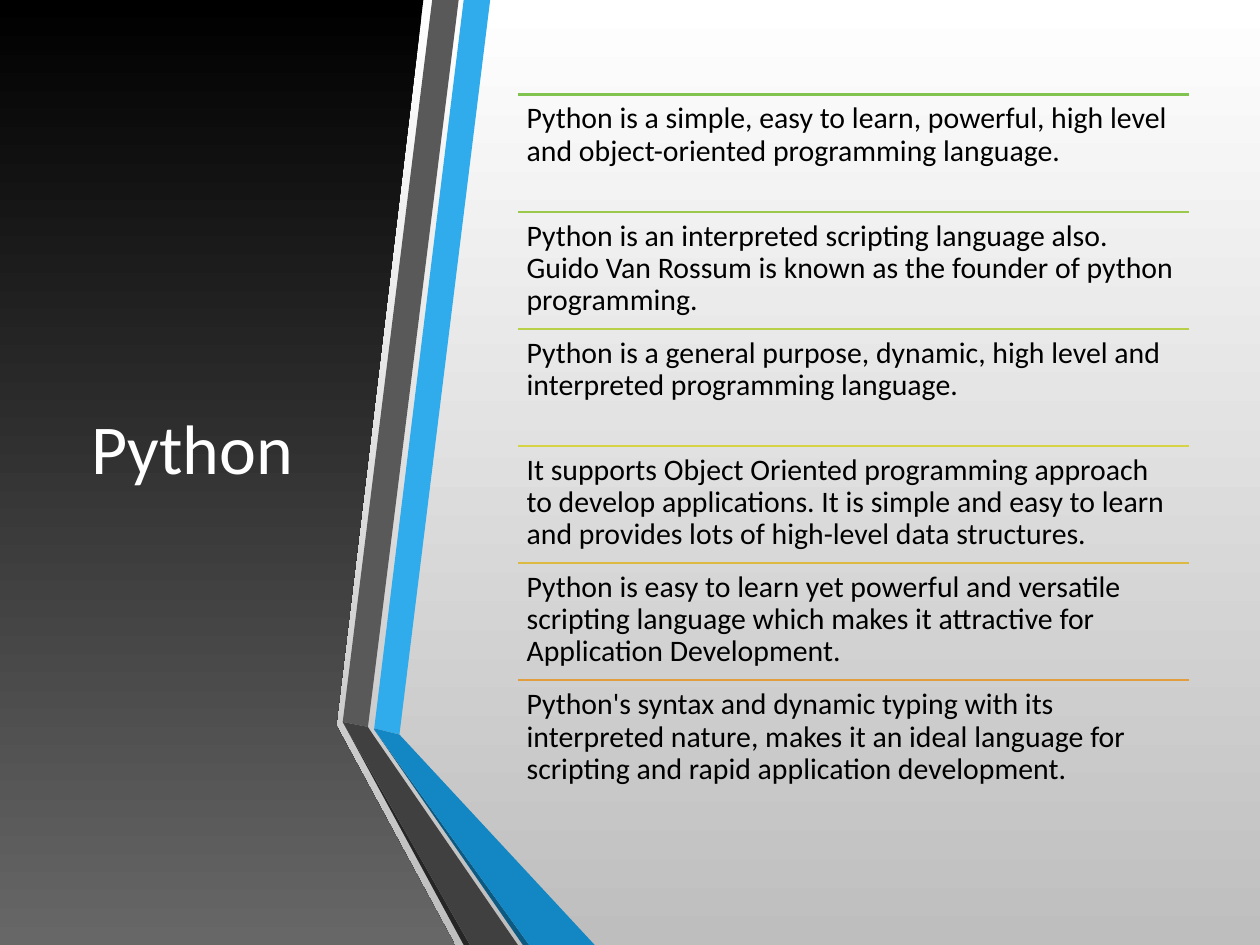
"""Build the Python overview slide: a folded dark ribbon beside six ruled statements."""
from dataclasses import dataclass

from lxml.etree import SubElement
from pptx import Presentation
from pptx.dml.color import RGBColor as Rgb
from pptx.enum.shapes import MSO_CONNECTOR as Connector
from pptx.enum.text import MSO_ANCHOR as Anchor, PP_ALIGN as Align
from pptx.oxml.ns import qn
from pptx.util import Inches, Pt


@dataclass(frozen=True)
class Theme:
    font: str = "Calibri"
    title_size: float = 40
    text_size: float = 17
    rule_width: float = 1.25
    title: str = "FFFFFF"
    text: str = "000000"
    background: tuple = ("FFFFFF", "BEBEBE")
    panel: tuple = ("000000", "676767")
    blue: str = "30ACEC"
    blue_fold: str = "1287C3"
    blue_edge: str = "0C5A82"
    gray: str = "595959"
    gray_fold: str = "404040"
    gray_edge: str = "262626"


@dataclass(frozen=True)
class Grid:
    cell: int = Inches(0.01)
    bottom: int = 750
    left: int = 411
    top: int = 75
    width: int = 533
    row: int = 93
    inset: int = 7

    def box(self, left: float, top: float, width: float, height: float) -> dict:
        names = ("left", "top", "width", "height")
        return {n: int(v * self.cell) for n, v in zip(names, (left, top, width, height))}


@dataclass(frozen=True)
class Facet:
    color: str
    points: tuple


@dataclass(frozen=True)
class Statement:
    rule: str
    text: str


T = Theme()
G = Grid()

PANEL = ((0, 0), (264, 0), (336, 0), (267, 575), (267, 576), (361, G.bottom), (0, G.bottom))
RIBBON = (
    Facet(T.blue, ((297, 578), (317, 583), (389, 0), (368, 0))),
    Facet(T.gray, ((364, 0), (343, 0), (272, 573), (292, 577))),
    Facet(T.gray_edge, ((272, 573), (368, G.bottom), (373, G.bottom))),
    Facet(T.blue_edge, ((297, 579), (415, G.bottom), (420, G.bottom))),
    Facet(T.blue_fold, ((297, 579), (420, G.bottom), (472, G.bottom), (317, 583), (297, 578))),
    Facet(T.gray_fold, ((411, G.bottom), (296, 583), (292, 577), (272, 573), (373, G.bottom))),
)
STATEMENTS = (
    Statement("80C34F", "Python is a simple, easy to learn, powerful, high level and "
                        "object-oriented programming language."),
    Statement("9AC94B", "Python is an interpreted scripting language also. Guido Van Rossum "
                        "is known as the founder of python programming."),
    Statement("B8D048", "Python is a general purpose, dynamic, high level and interpreted "
                        "programming language."),
    Statement("D6D344", "It supports Object Oriented programming approach to develop "
                        "applications. It is simple and easy to learn and provides lots of "
                        "high-level data structures."),
    Statement("DCBA41", "Python is easy to learn yet powerful and versatile scripting language "
                        "which makes it attractive for Application Development."),
    Statement("E29D3E", "Python's syntax and dynamic typing with its interpreted nature, makes "
                        "it an ideal language for scripting and rapid application development."),
)


def apply(target, values: dict) -> None:
    for name, value in values.items():
        setattr(target, name, value)


def fill_gradient(fill, colors: tuple) -> None:
    fill.gradient()
    fill.gradient_angle = 270
    for stop, color in zip(fill.gradient_stops, colors):
        stop.color.rgb = Rgb.from_string(color)


def write(tf, text: str, size: float, color: str, frame: dict, para: dict) -> None:
    apply(tf, {"word_wrap": True, **frame})
    p = tf.paragraphs[0]
    apply(p, para)
    r = p.add_run()
    r.text = text
    apply(r.font, {"name": T.font, "size": Pt(size)})
    r.font.color.rgb = Rgb.from_string(color)


def add_outline(s, points: tuple):
    builder = s.shapes.build_freeform(*points[0], scale=G.cell)
    builder.add_line_segments(points[1:], close=True)
    sp = builder.convert_to_shape()
    sp.shadow.inherit = False
    sp.line.fill.background()
    return sp


def add_facet(s, facet: Facet) -> None:
    fill = add_outline(s, facet.points).fill
    fill.solid()
    fill.fore_color.rgb = Rgb.from_string(facet.color)


def add_title(s, text: str) -> None:
    sp = s.shapes.title
    apply(sp, G.box(44, 75, 217, 558))
    write(sp.text_frame, text, T.title_size, T.title,
          {"vertical_anchor": Anchor.MIDDLE}, {"alignment": Align.CENTER})
    s.shapes.element.append(sp.element)


def add_statement(s, index: int, item: Statement) -> None:
    box = G.box(G.left, G.top + index * G.row, G.width, G.row)
    x, y = box["left"], box["top"]
    rule = s.shapes.add_connector(Connector.STRAIGHT, x, y, x + box["width"], y)
    rule.line.width = Pt(T.rule_width)
    rule.line.color.rgb = Rgb.from_string(item.rule)
    SubElement(rule.element.spPr, qn("a:effectLst"))
    sides = ("left", "top", "right", "bottom")
    frame = {f"margin_{side}": G.inset * G.cell for side in sides}
    write(s.shapes.add_textbox(**box).text_frame, item.text, T.text_size, T.text,
          {"vertical_anchor": Anchor.TOP, **frame},
          {"line_spacing": 0.9, "space_after": Pt(6)})


def main() -> None:
    prs = Presentation()
    apply(prs, {"slide_width": Inches(10), "slide_height": Inches(7.5)})
    s = prs.slides.add_slide(prs.slide_layouts.get_by_name("Title Only"))
    fill_gradient(s.background.fill, T.background)
    fill_gradient(add_outline(s, PANEL).fill, T.panel)
    add_title(s, "Python")
    for facet in RIBBON:
        add_facet(s, facet)
    for index, item in enumerate(STATEMENTS):
        add_statement(s, index, item)
    prs.save("out.pptx")


if __name__ == "__main__":
    main()
